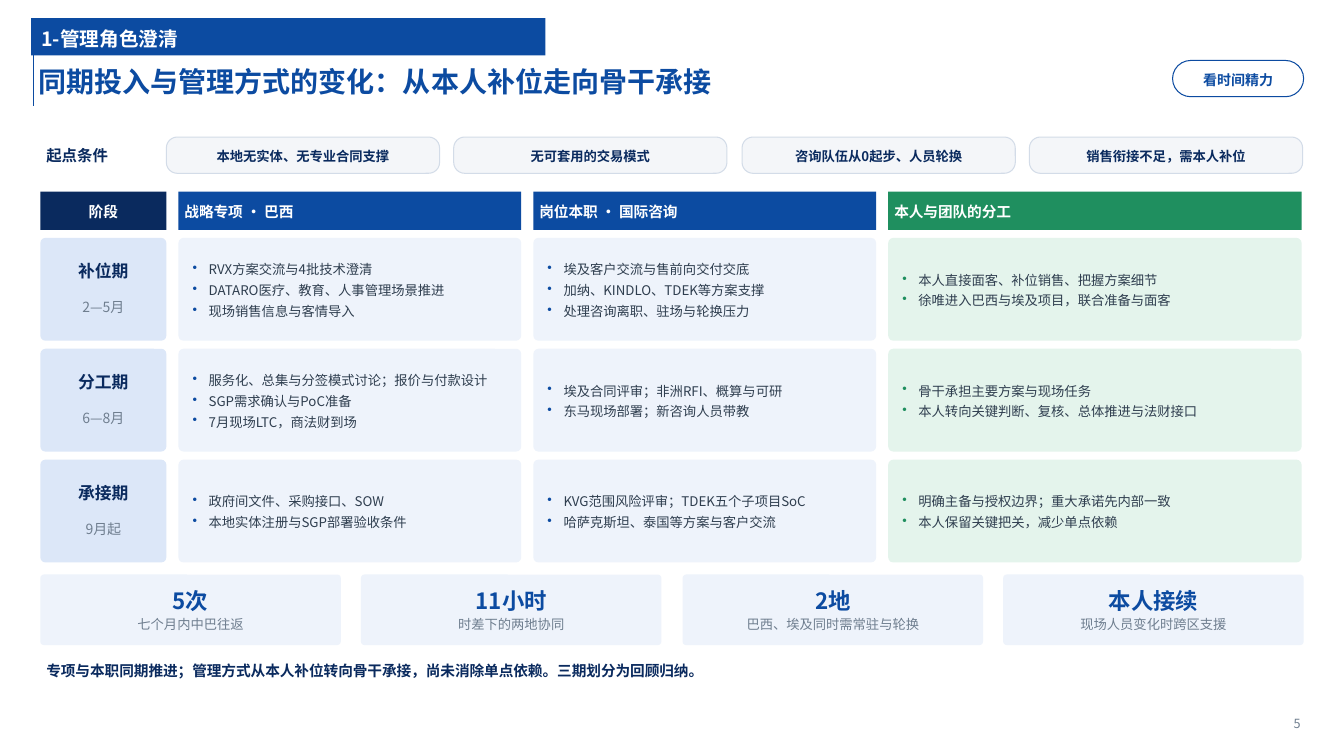
from dataclasses import dataclass

from lxml.etree import SubElement
from pptx import Presentation
from pptx.dml.color import RGBColor as Rgb
from pptx.enum.shapes import MSO_CONNECTOR as Conn, MSO_SHAPE as Kind
from pptx.enum.text import MSO_ANCHOR as Anchor, MSO_AUTO_SIZE as Auto, PP_ALIGN as Align
from pptx.oxml.ns import qn
from pptx.util import Pt

PX = 9144
FONT = "Noto Sans CJK SC"
BLUE = Rgb(0x0C, 0x4B, 0xA1)
NAVY = Rgb(0x0A, 0x2A, 0x5E)
GREEN = Rgb(0x1F, 0x8F, 0x5F)
GRAY = Rgb(0x6F, 0x7E, 0x8F)
INK = Rgb(0x2F, 0x3E, 0x4F)
WHITE = Rgb(0xFF, 0xFF, 0xFF)
PALE = Rgb(0xEE, 0xF3, 0xFB)
SKY = Rgb(0xDC, 0xE7, 0xF8)
MINT = Rgb(0xE4, 0xF4, 0xEC)
MIST = Rgb(0xF4, 0xF6, 0xF9)
EDGE = Rgb(0xD3, 0xDC, 0xE8)


@dataclass(frozen=True)
class Box:
    left: int
    top: int
    width: int
    height: int

    def emu(self) -> tuple[int, ...]:
        return tuple(v * PX for v in (self.left, self.top, self.width, self.height))


@dataclass(frozen=True)
class Style:
    size: float
    color: Rgb
    bold: bool = False
    align: Align = Align.LEFT
    after: int = 0
    dot: Rgb | None = None
    inset: tuple[int, int, int, int] = (6, 4, 6, 4)
    anchor: Anchor = Anchor.MIDDLE


@dataclass(frozen=True)
class Column:
    left: int
    width: int
    head: str
    align: Align
    dark: Rgb
    light: Rgb


@dataclass(frozen=True)
class Stage:
    name: str
    months: str
    cells: tuple[str, str, str]


@dataclass(frozen=True)
class Stat:
    value: str
    label: str


COLUMNS = (
    Column(40, 125, "阶段", Align.CENTER, NAVY, SKY),
    Column(177, 340, "战略专项 · 巴西", Align.LEFT, BLUE, PALE),
    Column(529, 340, "岗位本职 · 国际咨询", Align.LEFT, BLUE, PALE),
    Column(881, 410, "本人与团队的分工", Align.LEFT, GREEN, MINT),
)
STAGES = (
    Stage("补位期", "2—5月", (
        "RVX方案交流与4批技术澄清\nDATARO医疗、教育、人事管理场景推进\n现场销售信息与客情导入",
        "埃及客户交流与售前向交付交底\n加纳、KINDLO、TDEK等方案支撑\n处理咨询离职、驻场与轮换压力",
        "本人直接面客、补位销售、把握方案细节\n徐唯进入巴西与埃及项目，联合准备与面客",
    )),
    Stage("分工期", "6—8月", (
        "服务化、总集与分签模式讨论；报价与付款设计\nSGP需求确认与PoC准备\n7月现场LTC，商法财到场",
        "埃及合同评审；非洲RFI、概算与可研\n东马现场部署；新咨询人员带教",
        "骨干承担主要方案与现场任务\n本人转向关键判断、复核、总体推进与法财接口",
    )),
    Stage("承接期", "9月起", (
        "政府间文件、采购接口、SOW\n本地实体注册与SGP部署验收条件",
        "KVG范围风险评审；TDEK五个子项目SoC\n哈萨克斯坦、泰国等方案与客户交流",
        "明确主备与授权边界；重大承诺先内部一致\n本人保留关键把关，减少单点依赖",
    )),
)
CHIPS = ("本地无实体、无专业合同支撑", "无可套用的交易模式",
         "咨询队伍从0起步、人员轮换", "销售衔接不足，需本人补位")
STATS = (
    Stat("5次", "七个月内中巴往返"),
    Stat("11小时", "时差下的两地协同"),
    Stat("2地", "巴西、埃及同时需常驻与轮换"),
    Stat("本人接续", "现场人员变化时跨区支援"),
)

TIGHT = (4, 0, 4, 0)
NAME = Style(12, NAVY, True, Align.CENTER)
MONTH = Style(10, GRAY, align=Align.CENTER)
CHIP = Style(9.5, NAVY, True, Align.CENTER, inset=TIGHT)
BADGE = Style(10, BLUE, True, Align.CENTER, inset=TIGHT)
VALUE = Style(16, BLUE, True, Align.CENTER, inset=TIGHT)
LABEL = Style(9.5, GRAY, align=Align.CENTER, inset=(6, 0, 6, 0), anchor=Anchor.TOP)


def spread(left: int, right: int, width: int, count: int) -> list[int]:
    step = (right - left - width) / (count - 1)
    return [round(left + i * step) for i in range(count)]


def write(shape, text: str, style: Style) -> None:
    frame = shape.text_frame
    frame.text = text
    frame.word_wrap = True
    frame.auto_size = Auto.NONE
    frame.vertical_anchor = style.anchor
    (frame.margin_left, frame.margin_top,
     frame.margin_right, frame.margin_bottom) = (v * PX for v in style.inset)
    for para in frame.paragraphs:
        para.alignment = style.align
        para.line_spacing = 1.12
        para.space_before = Pt(0)
        para.space_after = Pt(style.after)
        if style.dot is not None:
            props = para._p.get_or_add_pPr()
            props.set("marL", str(16 * PX))
            props.set("indent", str(-16 * PX))
            tint = SubElement(props, qn("a:buClr"))
            SubElement(tint, qn("a:srgbClr"), val=str(style.dot))
            SubElement(props, qn("a:buChar"), char="•")
        for run in para.runs:
            font = run.font
            font.name = FONT
            font.size = Pt(style.size)
            font.bold = style.bold
            font.color.rgb = style.color
            SubElement(run._r.get_or_add_rPr(), qn("a:ea"), typeface=FONT)


def label(slide, box: Box, text: str, style: Style) -> None:
    write(slide.shapes.add_textbox(*box.emu()), text, style)


def panel(slide, box: Box, fill: Rgb, bend: float = 0, edge: Rgb | None = None):
    kind = Kind.ROUNDED_RECTANGLE if bend else Kind.RECTANGLE
    shape = slide.shapes.add_shape(kind, *box.emu())
    shape.shadow.inherit = False
    if bend:
        shape.adjustments[0] = bend
    shape.fill.solid()
    shape.fill.fore_color.rgb = fill
    if edge is None:
        shape.line.fill.background()
    else:
        shape.line.color.rgb = edge
        shape.line.width = Pt(0.75)
    return shape


def place(shape, box: Box) -> None:
    shape.left, shape.top, shape.width, shape.height = box.emu()


def header(slide) -> None:
    title, topic = slide.shapes.title, slide.placeholders[1]
    place(title, Box(33, 53, 1150, 52))
    write(title, "同期投入与管理方式的变化：从本人补位走向骨干承接",
          Style(20, BLUE, True, inset=(5, 0, 5, 0)))
    place(topic, Box(31, 18, 510, 37))
    topic.fill.solid()
    topic.fill.fore_color.rgb = BLUE
    write(topic, "1-管理角色澄清", Style(14, WHITE, True, inset=(10, 0, 5, 0)))
    rule = slide.shapes.add_connector(Conn.STRAIGHT, 33 * PX, 24 * PX, 33 * PX, 105 * PX)
    rule.line.color.rgb = BLUE
    rule.line.width = Pt(1)
    SubElement(rule._element.spPr, qn("a:effectLst"))
    write(panel(slide, Box(1163, 60, 130, 36), WHITE, 0.5, BLUE), "看时间精力", BADGE)


def starts(slide) -> None:
    label(slide, Box(40, 128, 120, 50), "起点条件", Style(11, NAVY, True))
    for left, text in zip(spread(165, 1292, 271, len(CHIPS)), CHIPS):
        write(panel(slide, Box(left, 136, 271, 36), MIST, 0.3, EDGE), text, CHIP)


def matrix(slide) -> None:
    for col in COLUMNS:
        head = panel(slide, Box(col.left, 190, col.width, 38), col.dark)
        write(head, col.head, Style(10.5, WHITE, True, col.align, after=3))
    for row, stage in enumerate(STAGES):
        top = 236 + 110 * row
        for col in COLUMNS:
            panel(slide, Box(col.left, top, col.width, 102), col.light, 0.05)
        first, *rest = COLUMNS
        label(slide, Box(first.left, top + 12, first.width, 40), stage.name, NAME)
        label(slide, Box(first.left, top + 50, first.width, 35), stage.months, MONTH)
        for col, text in zip(rest, stage.cells):
            label(slide, Box(col.left + 8, top + 4, col.width - 16, 94), text,
                  Style(9.5, INK, after=2, dot=col.dark))


def footer(slide) -> None:
    for left, stat in zip(spread(40, 1293, 298, len(STATS)), STATS):
        panel(slide, Box(left, 570, 298, 70), PALE, 0.05)
        label(slide, Box(left, 575, 298, 39), stat.value, VALUE)
        label(slide, Box(left, 609, 298, 29), stat.label, LABEL)
    label(slide, Box(40, 646, 1253, 36),
          "专项与本职同期推进；管理方式从本人补位转向骨干承接，尚未消除单点依赖。三期划分为回顾归纳。",
          Style(10.5, NAVY, True))
    label(slide, Box(1200, 702, 95, 30), "5",
          Style(9, GRAY, align=Align.RIGHT, inset=(0, 0, 5, 0)))


def main() -> None:
    deck = Presentation()
    deck.slide_width, deck.slide_height = 1333 * PX, 750 * PX
    slide = deck.slides.add_slide(deck.slide_layouts[2])
    for draw in (header, starts, matrix, footer):
        draw(slide)
    deck.save("out.pptx")


if __name__ == "__main__":
    main()
